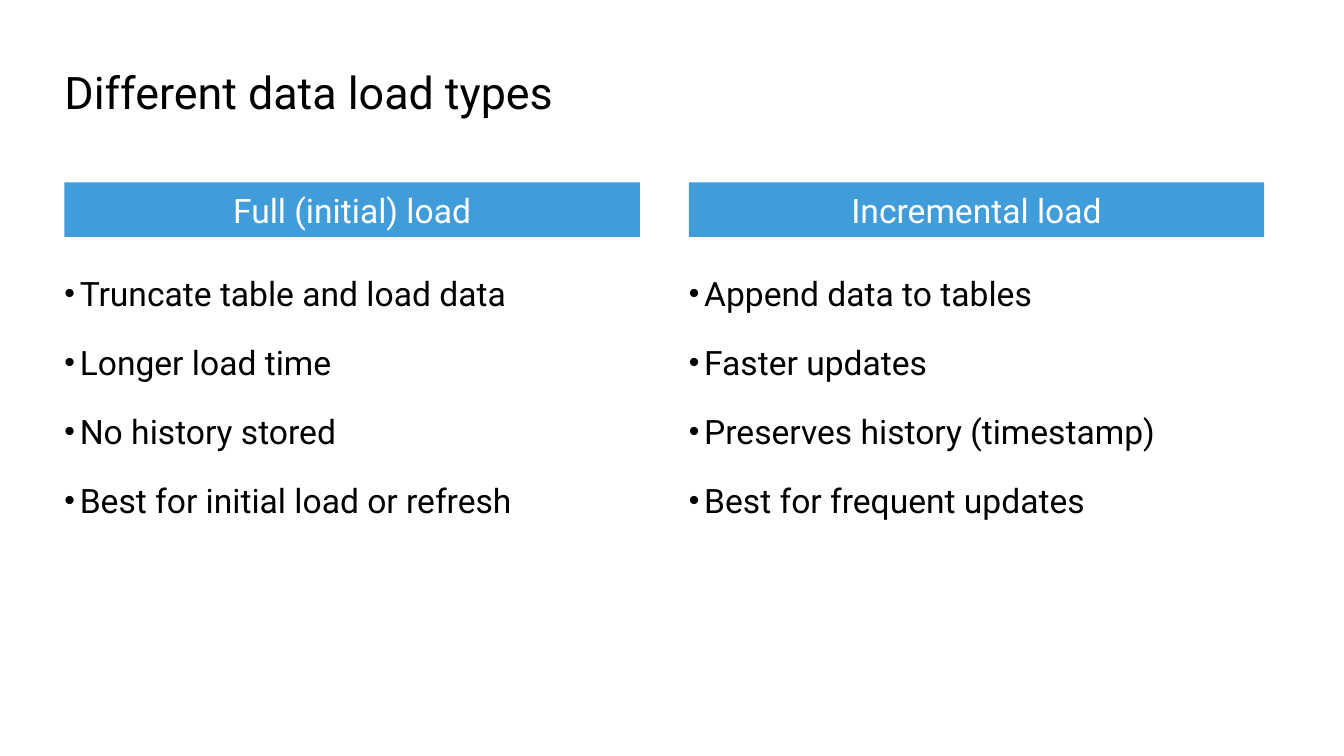
import pptx
import pptx.util
from pptx.dml.color import RGBColor
from pptx.enum.shapes import MSO_SHAPE
from pptx.enum.text import MSO_ANCHOR, PP_ALIGN
from pptx.oxml.ns import qn
from lxml import etree

Pt = pptx.util.Pt

TITLE = "Different data load types"
LOADS = [
    ("Full (initial) load", [
        "Truncate table and load data",
        "Longer load time",
        "No history stored",
        "Best for initial load or refresh",
    ]),
    ("Incremental load", [
        "Append data to tables",
        "Faster updates",
        "Preserves history (timestamp)",
        "Best for frequent updates",
    ]),
]

FONT = "Roboto"
BLACK = RGBColor(0x00, 0x00, 0x00)
WHITE = RGBColor(0xFF, 0xFF, 0xFF)
BLUE = RGBColor(0x41, 0x9C, 0xDA)

LEFT, WIDTH, STEP = 46, 411, 446
HEAD_TOP, HEAD_TALL = 130.3, 39
LIST_TOP, LIST_TALL = 180.7, 215
INDENT = 11


def set_font(para, size, color):
    para.font.name = FONT
    para.font.size = Pt(size)
    para.font.color.rgb = color


def clear_frame(shape):
    """Remove the insets, turn wrapping on and return the text frame."""
    frame = shape.text_frame
    frame.word_wrap = True
    frame.margin_left = frame.margin_right = 0
    frame.margin_top = frame.margin_bottom = 0
    return frame


def add_box(slide, left, top, width, tall):
    box = slide.shapes.add_textbox(Pt(left), Pt(top), Pt(width), Pt(tall))
    return clear_frame(box)


def add_bullet(para):
    props = para._p.get_or_add_pPr()
    props.set("marL", str(Pt(INDENT)))
    props.set("indent", str(-Pt(INDENT)))
    etree.SubElement(props, qn("a:buSzPct"), val="90000")
    etree.SubElement(props, qn("a:buFont"), typeface="Arial")
    etree.SubElement(props, qn("a:buChar"), char="•")


def add_head(slide, left, text):
    bar = slide.shapes.add_shape(MSO_SHAPE.RECTANGLE, Pt(left), Pt(HEAD_TOP),
                                 Pt(WIDTH), Pt(HEAD_TALL))
    bar.shadow.inherit = False
    bar.fill.solid()
    bar.fill.fore_color.rgb = BLUE
    bar.line.fill.background()
    frame = clear_frame(bar)
    frame.vertical_anchor = MSO_ANCHOR.MIDDLE
    para = frame.paragraphs[0]
    para.text = text
    para.alignment = PP_ALIGN.CENTER
    set_font(para, 24, WHITE)


def add_list(slide, left, points):
    frame = add_box(slide, left, LIST_TOP, WIDTH, LIST_TALL)
    frame.text = "\n".join(points)
    for i, para in enumerate(frame.paragraphs):
        add_bullet(para)
        para.line_spacing = 1.5
        para.space_before = Pt(6 if i else 0)
        set_font(para, 24, BLACK)


def main():
    deck = pptx.Presentation()
    deck.slide_width, deck.slide_height = Pt(960), Pt(540)
    slide = deck.slides.add_slide(deck.slide_layouts[6])

    title = add_box(slide, LEFT, 46, 645, 39)
    title.text = TITLE
    set_font(title.paragraphs[0], 32, BLACK)

    for i, (head, points) in enumerate(LOADS):
        left = LEFT + i * STEP
        add_head(slide, left, head)
        add_list(slide, left, points)

    deck.save("out.pptx")


if __name__ == "__main__":
    main()
